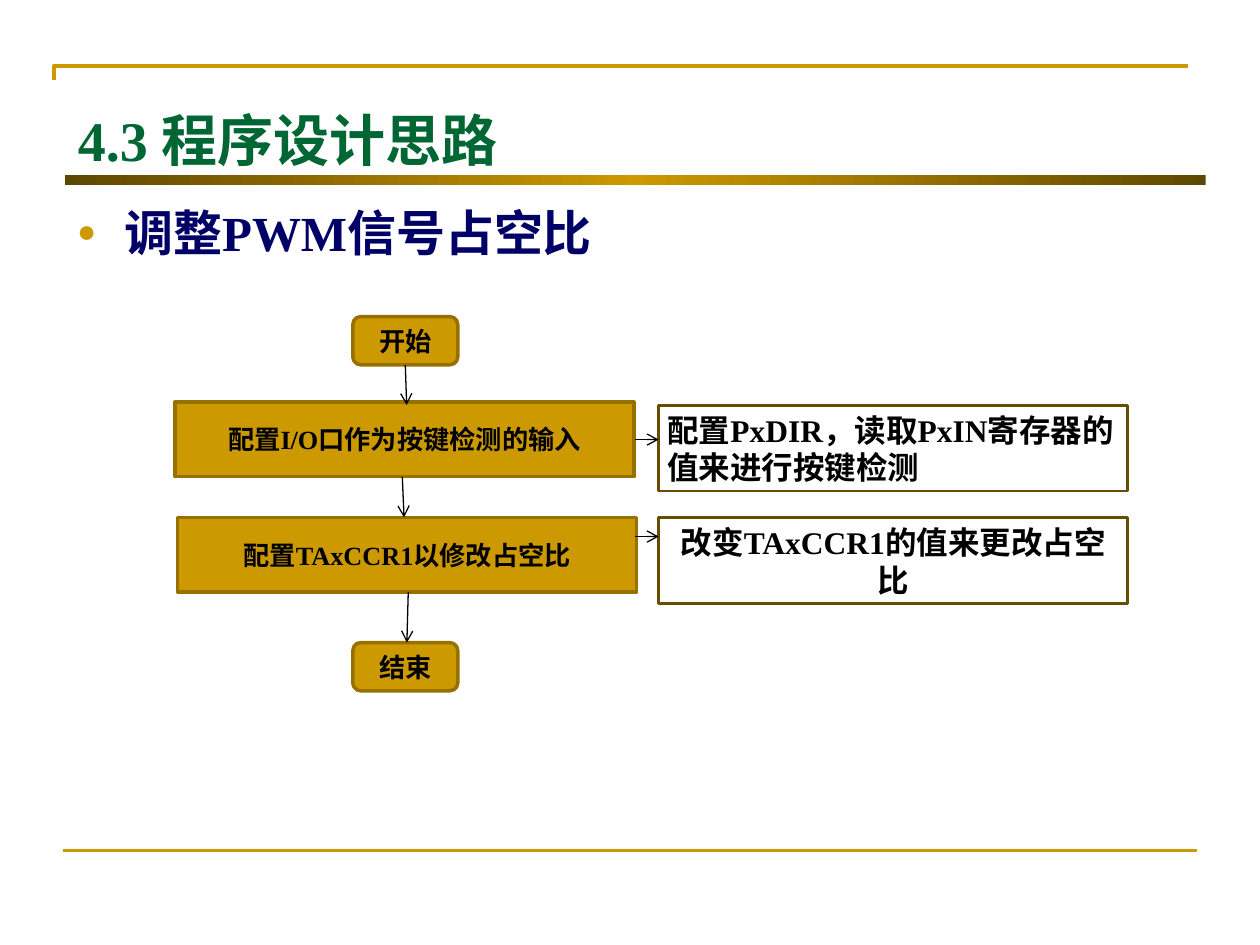
from lxml.etree import SubElement
from pptx import Presentation
from pptx.dml.color import RGBColor
from pptx.enum.shapes import MSO_CONNECTOR as Connector, MSO_SHAPE as Shape
from pptx.enum.text import MSO_ANCHOR as Anchor, PP_ALIGN as Align
from pptx.oxml.ns import qn
from pptx.util import Pt

COLORS = {
    "gold": "CC9900", "dark_gold": "5E4700", "box_edge": "977100",
    "note_edge": "664D00", "green": "006633", "navy": "000066", "black": "000000",
}
SERIF, SANS = "Times New Roman", "Arial"


def rgb(name):
    return RGBColor.from_string(COLORS[name])


class SlideBuilder:
    def __init__(self, page):
        self.page = page

    def put_text(self, shape, text, size, color="black", font=SERIF,
                 align=Align.CENTER, anchor=Anchor.MIDDLE, insets=(5, 3)):
        frame = shape.text_frame
        frame.word_wrap = True
        frame.vertical_anchor = anchor
        frame.margin_left = frame.margin_right = Pt(insets[0])
        frame.margin_top = frame.margin_bottom = Pt(insets[1])
        para = frame.paragraphs[0]
        para.text = text
        para.alignment = align
        para.font.name, para.font.size, para.font.bold = font, Pt(size), True
        para.font.color.rgb = rgb(color)
        return para

    def label(self, area, text, size, color, top_inset):
        box = self.page.shapes.add_textbox(*map(Pt, area))
        return self.put_text(box, text, size, color, align=Align.LEFT,
                             anchor=Anchor.TOP, insets=(7.2, top_inset))

    def bullet(self, para, indent, char, color, percent):
        props = para._p.get_or_add_pPr()
        props.set("marL", str(Pt(indent)))
        props.set("indent", str(-Pt(indent)))
        # Bullet marks come before the default run properties
        default = props.find(qn("a:defRPr"))
        paint = SubElement(props, qn("a:buClr"))
        SubElement(paint, qn("a:srgbClr"), val=COLORS[color])
        SubElement(props, qn("a:buSzPct"), val=str(percent * 1000))
        SubElement(props, qn("a:buFont"), typeface=SANS)
        SubElement(props, qn("a:buChar"), char=char)
        if default is not None:
            props.append(default)

    def box(self, kind, area, fill=None, edge=None, width=0):
        shape = self.page.shapes.add_shape(kind, *map(Pt, area))
        shape.shadow.inherit = False
        if fill:
            shape.fill.solid()
            shape.fill.fore_color.rgb = rgb(fill)
        else:
            shape.fill.background()
        if edge:
            shape.line.color.rgb = rgb(edge)
            shape.line.width = Pt(width)
        else:
            shape.line.fill.background()
        return shape

    def gradient_bar(self, area, edge, middle):
        bar = self.box(Shape.RECTANGLE, area)
        bar.fill.gradient()
        bar.fill.gradient_angle = 0
        stops = bar._element.spPr.find(qn("a:gradFill")).find(qn("a:gsLst"))
        for stop in list(stops):
            stops.remove(stop)
        for position, color in ((0, edge), (50, middle), (100, edge)):
            stop = SubElement(stops, qn("a:gs"), pos=str(position * 1000))
            SubElement(stop, qn("a:srgbClr"), val=COLORS[color])

    def line(self, start, end, color="black", width=0.75, arrow=False):
        link = self.page.shapes.add_connector(
            Connector.STRAIGHT, *map(Pt, (*start, *end)))
        link.line.color.rgb = rgb(color)
        link.line.width = Pt(width)
        properties = link._element.spPr
        if arrow:
            SubElement(properties.find(qn("a:ln")), qn("a:tailEnd"), type="arrow")
        SubElement(properties, qn("a:effectLst"))

    def outline(self, points, color, width):
        first, *rest = [(Pt(x), Pt(y)) for x, y in points]
        builder = self.page.shapes.build_freeform(*first)
        builder.add_line_segments(rest, close=False)
        shape = builder.convert_to_shape()
        shape.shadow.inherit = False
        shape.fill.background()
        shape.line.color.rgb = rgb(color)
        shape.line.width = Pt(width)


deck = Presentation()
deck.slide_width, deck.slide_height = Pt(720), Pt(540)
build = SlideBuilder(deck.slides.add_slide(deck.slide_layouts[6]))

# Frame lines
build.outline([(31, 45.7), (31, 37.6), (679, 37.6)], "gold", 2.25)
build.line((36, 486), (684, 486), "gold", 1.5)
build.gradient_bar((37, 100, 652, 5.5), "dark_gold", "gold")

# Title and heading
build.label((37.4, 54, 486, 41.8), "4.3 程序设计思路", 32, "green", 6)
heading = build.label((37, 111.6, 486.7, 39.6), "调整PWM信号占空比", 28, "navy", 4)
build.bullet(heading, 27, "●", "gold", 65)

# Flow: start and end
for top, text in ((180.9, "开始"), (367.2, "结束")):
    terminal = build.box(Shape.ROUNDED_RECTANGLE, (201.6, top, 60, 27.6),
                         "gold", "box_edge", 2)
    build.put_text(terminal, text, 15, font=SANS)

# Flow: steps
for left, top, text in ((100, 229.8, "配置I/O口作为按键检测的输入"),
                        (101.5, 295.7, "配置TAxCCR1以修改占空比")):
    step = build.box(Shape.RECTANGLE, (left, top, 262.3, 42.6),
                     "gold", "box_edge", 2)
    build.put_text(step, text, 15)

# Notes beside the steps
for top, align, text in (
        (231.6, Align.LEFT, "配置PxDIR，读取PxIN寄存器的值来进行按键检测"),
        (295.7, Align.CENTER, "改变TAxCCR1的值来更改占空比")):
    note = build.box(Shape.RECTANGLE, (376.4, top, 268, 49), None, "note_edge", 1.5)
    build.put_text(note, text, 18, align=align, anchor=Anchor.TOP)

# Arrows
for start, end in (((231.6, 208.6), (232.4, 231.5)),
                   ((229.9, 272.4), (230.9, 295.7)),
                   ((233.3, 338.3), (232.5, 367.2)),
                   ((362.6, 251.2), (376.4, 251.2)),
                   ((362.6, 306.6), (376.4, 306.6))):
    build.line(start, end, arrow=True)

deck.save("out.pptx")
